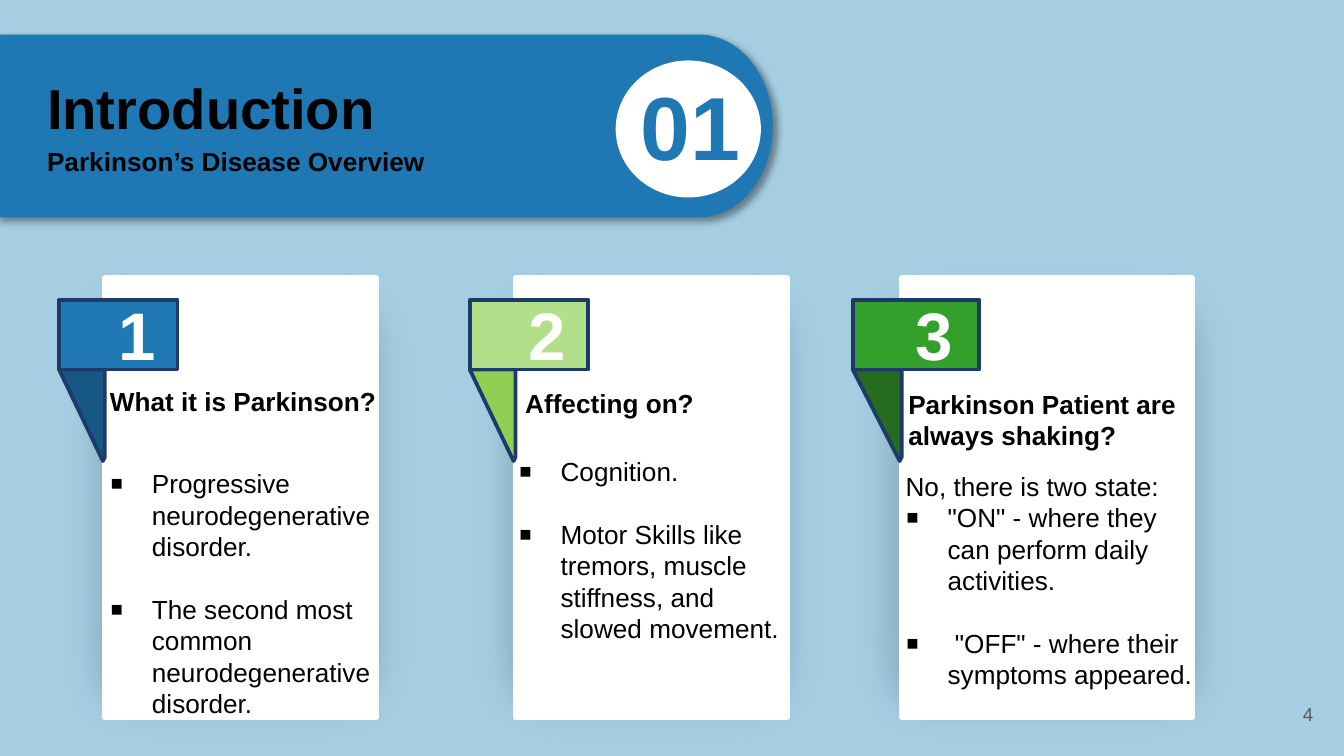
from dataclasses import dataclass
from math import cos, pi, sin

from lxml.etree import SubElement
from pptx import Presentation
from pptx.dml.color import RGBColor as RGB
from pptx.enum.shapes import MSO_SHAPE as Form
from pptx.enum.text import MSO_ANCHOR as Anchor, MSO_AUTO_SIZE as Fit, PP_ALIGN as Align
from pptx.oxml import parse_xml
from pptx.oxml.ns import nsdecls, qn
from pptx.util import Pt


@dataclass(frozen=True)
class Theme:
    font: str = "Arial"
    sky: str = "A6CEE3"
    blue: str = "1F78B4"
    navy: str = "1D3A6B"
    white: str = "FFFFFF"
    black: str = "000000"
    grey: str = "595959"
    title: float = 30.1
    body: float = 14
    label: float = 36
    badge: float = 48
    page: float = 10
    line: float = 16.8


theme = Theme()


def paint(shape, fill, edge=None, width=0):
    shape.shadow.inherit = False
    shape.fill.solid()
    shape.fill.fore_color.rgb = RGB.from_string(fill)
    if edge:
        shape.line.color.rgb = RGB.from_string(edge)
        shape.line.width = Pt(width)
    else:
        shape.line.fill.background()
    return shape


def write(box, lines, inset=(7.2, 3.6), anchor=Anchor.TOP):
    """Fill box with (text, size, color, bold, paragraph format, bullet) rows."""
    frame = box.text_frame
    side, top = map(Pt, inset)
    form = dict(word_wrap=True, auto_size=Fit.NONE, vertical_anchor=anchor,
                margin_left=side, margin_right=side, margin_top=top, margin_bottom=top)
    for name, value in form.items():
        setattr(frame, name, value)
    for i, (text, size, color, bold, look, dot) in enumerate(lines):
        para = frame.add_paragraph() if i else frame.paragraphs[0]
        run = para.add_run()
        run.text = text
        for name, value in dict(name=theme.font, size=Pt(size), bold=bold).items():
            setattr(run.font, name, value)
        run.font.color.rgb = RGB.from_string(color)
        for name, value in (dict(alignment=Align.LEFT) | look).items():
            setattr(para, name, value)
        if dot:
            props = para._p.get_or_add_pPr()
            props.set("marL", str(Pt(22.5)))
            props.set("indent", str(Pt(-22.5)))
            tint = SubElement(props, qn("a:buClr"))
            SubElement(tint, qn("a:srgbClr"), val=theme.black)
            SubElement(props, qn("a:buSzPct"), val="150000")
            SubElement(props, qn("a:buFont"), typeface=theme.font)
            SubElement(props, qn("a:buChar"), char="▪")


deck = Presentation()
deck.slide_width, deck.slide_height = Pt(720), Pt(405)
slide = deck.slides.add_slide(deck.slide_layouts[5])
slide.background.fill.solid()
slide.background.fill.fore_color.rgb = RGB.from_string(theme.sky)
shapes = slide.shapes

# Banner with a round right end
mid, half, turn, bulge = 67.5, 49, 374.4, 39.6
arc = [(turn + bulge * sin(pi * i / 48), mid - half * cos(pi * i / 48)) for i in range(49)]
pen = shapes.build_freeform(Pt(-2), Pt(mid - half))
pen.add_line_segments([(Pt(x), Pt(y)) for x, y in arc] + [(Pt(-2), Pt(mid + half))])
banner = paint(pen.convert_to_shape(), theme.blue)
effect = banner.element.spPr.find(qn("a:effectLst"))
effect.append(parse_xml(
    f'<a:outerShdw {nsdecls("a")} blurRad="{Pt(4)}" dist="{Pt(3)}" dir="2700000" algn="tl" '
    f'rotWithShape="0"><a:srgbClr val="{theme.black}"><a:alpha val="40000"/></a:srgbClr>'
    '</a:outerShdw>'))
paint(shapes.add_shape(Form.FLOWCHART_CONNECTOR, Pt(329.8), Pt(32.4), Pt(77.8), Pt(73.4)),
      theme.white)
badge = shapes.add_textbox(Pt(336.2), Pt(34.6), Pt(73.4), Pt(65.5))
write(badge, [("01", theme.badge, theme.blue, True, {}, False)])

title = shapes.title
shapes.element.append(title.element)
for name, value in dict(left=18, top=30.2, width=249.8, height=73.4).items():
    setattr(title, name, Pt(value))
write(title, [
    ("Introduction", theme.title, theme.black, True, {}, False),
    ("Parkinson’s Disease Overview", theme.body, theme.black, True,
     dict(line_spacing=1.15, space_after=Pt(12)), False),
], (7.2, 7.2), Anchor.MIDDLE)

# Cards: left, width, tag fill, fold fill, heading and its box, rows and their box
cards = [
    (56.2, 145.4, theme.blue, "175783",
     "What it is Parkinson?", (51.8, 203, 158.4, 24.5),
     [("Progressive neurodegenerative disorder.", True, 0),
      ("The second most common neurodegenerative disorder.", True, 1)],
     (51.8, 247, 166.3, 143.3)),
    (276.2, 145.4, "B2DF8A", "8FD054",
     "Affecting on?", (274.3, 203.8, 158.4, 24.5),
     [("Cognition.", True, 0),
      ("Motor Skills like tremors, muscle stiffness, and slowed movement.", True, 1)],
     (270.7, 240.5, 166.3, 126)),
    (483.1, 155.5, "33A02C", "246C1E",
     "Parkinson Patient are always shaking?", (479.5, 204.5, 185, 41),
     [("No, there is two state:", False, 0),
      ('"ON" - where they can perform daily activities.', True, 0),
      (' "OFF" - where their symptoms appeared.', True, 1)],
     (478.1, 248.4, 167.8, 143.3)),
]
for i, (left, width, fill, dark, head, spot, rows, area) in enumerate(cards, 1):
    scale = width / 145.4
    edge = left - 24.5 * scale
    glow = paint(shapes.add_shape(Form.RECTANGLE, Pt(left - 37.7 * scale), Pt(128.9),
                                  Pt(216.7 * scale), Pt(282.2)), theme.black)
    SubElement(glow.element.spPr.find(".//" + qn("a:srgbClr")), qn("a:alpha"), val="18000")
    SubElement(glow.element.spPr.find(qn("a:effectLst")), qn("a:softEdge"), rad=str(Pt(25)))
    paint(shapes.add_shape(Form.RECTANGLE, Pt(left), Pt(149), Pt(width), Pt(235.4)),
          theme.white, theme.white, 3)
    pen = shapes.build_freeform(Pt(edge), Pt(198))
    pen.add_line_segments([(Pt(x), Pt(y)) for x, y in
                           [(left, 198), (left, 244.8), (left - scale, 247)]])
    paint(pen.convert_to_shape(), dark, theme.navy, 2)
    paint(shapes.add_shape(Form.RECTANGLE, Pt(edge), Pt(160.6), Pt(63.4 * scale), Pt(37.4)),
          fill, theme.navy, 2)
    label = shapes.add_textbox(Pt(left), Pt(153.4), Pt(28.8 * scale), Pt(51.1))
    write(label, [(str(i), theme.label, theme.white, True, {}, False)])
    pitch = dict(line_spacing=Pt(theme.line))
    write(shapes.add_textbox(*map(Pt, spot)),
          [(head, theme.body, theme.black, True, pitch, False)])
    write(shapes.add_textbox(*map(Pt, area)),
          [(text, theme.body, theme.black, False,
            pitch | dict(space_before=Pt(theme.line * gap)), dot) for text, dot, gap in rows])

page = shapes.add_textbox(Pt(667.4), Pt(367.2), Pt(43.2), Pt(31))
write(page, [("4", theme.page, theme.grey, False, dict(alignment=Align.RIGHT), False)],
      (7.2, 7.2), Anchor.MIDDLE)

deck.save("out.pptx")
